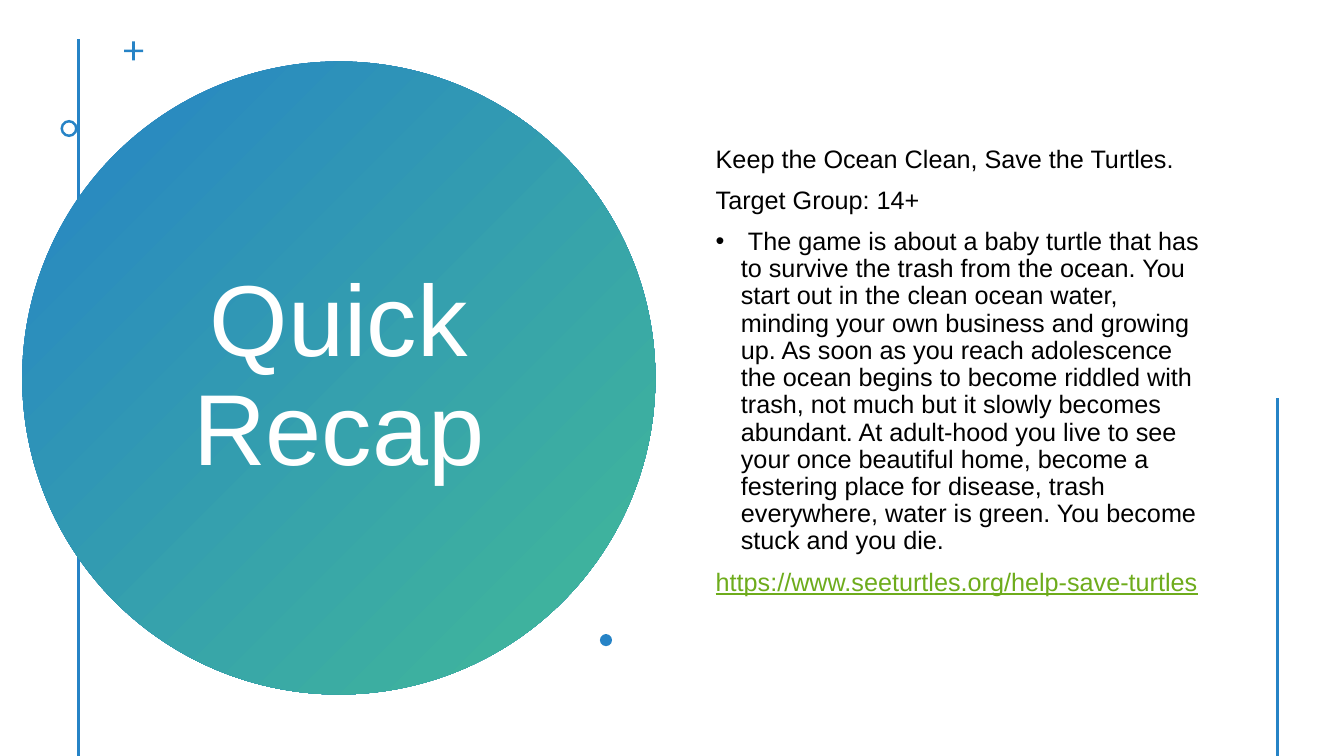
from lxml.etree import SubElement
from pptx import Presentation
from pptx.dml.color import RGBColor
from pptx.enum.shapes import MSO_CONNECTOR as Connector, MSO_SHAPE as Shape
from pptx.enum.text import MSO_ANCHOR as Anchor, MSO_AUTO_SIZE as AutoSize, PP_ALIGN as Align
from pptx.oxml.ns import qn
from pptx.util import Inches, Pt

BLUE = RGBColor(0x26, 0x83, 0xC6)
TEAL = RGBColor(0x42, 0xBA, 0x97)
GREEN = RGBColor(0x6E, 0xAC, 0x1C)
BLACK = RGBColor(0, 0, 0)
WHITE = RGBColor(0xFF, 0xFF, 0xFF)
FONT = "Arial"
SLOGAN = "Keep the Ocean Clean, Save the Turtles."
AUDIENCE = "Target Group: 14+"
STORY = (
    "\N{NO-BREAK SPACE}The game is about a baby turtle that has to survive the trash from the ocean. "
    "You start out in the clean ocean water, minding your own business and growing up. "
    "As soon as you reach adolescence the ocean begins to become riddled with trash, "
    "not much but it slowly becomes abundant. At adult-hood you live to see your once "
    "beautiful home, become a festering place for disease, trash everywhere, water is "
    "green. You become stuck and you die."
)
LINK = "https://www.seeturtles.org/help-save-turtles"


def add_vertical_line(slide, x, top, bottom):
    """Draw a blue vertical rule."""
    line = slide.shapes.add_connector(
        Connector.STRAIGHT, Inches(x), Inches(top), Inches(x), Inches(bottom))
    line.line.color.rgb = BLUE
    line.line.width = Pt(2)
    SubElement(line._element.spPr, qn("a:effectLst"))


def add_ornament(slide, kind, left, top, size, adjustment=None):
    """Add a small solid blue ornament in a square box."""
    shape = slide.shapes.add_shape(
        kind, Inches(left), Inches(top), Inches(size), Inches(size))
    shape.shadow.inherit = False
    shape.fill.solid()
    shape.fill.fore_color.rgb = BLUE
    shape.line.fill.background()
    if adjustment is not None:
        shape.adjustments[0] = adjustment


def set_up_frame(frame):
    """Give a text frame wrapping, middle anchoring and a fixed size."""
    frame.word_wrap = True
    frame.auto_size = AutoSize.NONE
    frame.vertical_anchor = Anchor.MIDDLE


def add_run(paragraph, text, size, color):
    """Append a formatted run to a paragraph."""
    run = paragraph.add_run()
    run.text = text
    run.font.name = FONT
    run.font.size = Pt(size)
    run.font.color.rgb = color
    return run


def add_title_circle(slide, left, top, diameter):
    """Draw the gradient circle with the title centred on it."""
    circle = slide.shapes.add_shape(
        Shape.OVAL, Inches(left), Inches(top), Inches(diameter), Inches(diameter))
    circle.shadow.inherit = False
    circle.line.fill.background()
    circle.fill.gradient()
    circle.fill.gradient_angle = 315
    for stop, color in zip(circle.fill.gradient_stops, (BLUE, TEAL)):
        stop.color.rgb = color

    title = slide.shapes.title
    width, height = 3.99, 4.67
    title.left = Inches(left + (diameter - width) / 2)
    title.top = Inches(top + (diameter - height) / 2)
    title.width, title.height = Inches(width), Inches(height)
    set_up_frame(title.text_frame)
    paragraph = title.text_frame.paragraphs[0]
    paragraph.alignment = Align.CENTER
    paragraph.line_spacing = 0.9
    add_run(paragraph, "Quick Recap", 72, WHITE)
    circle._element.addnext(title._element)


def add_bullet(paragraph):
    """Give a paragraph a round bullet with a hanging indent."""
    properties = paragraph._p.get_or_add_pPr()
    properties.set("marL", str(Inches(0.25)))
    properties.set("indent", str(-Inches(0.25)))
    SubElement(properties, qn("a:buFont")).set("typeface", FONT)
    SubElement(properties, qn("a:buChar")).set("char", "•")


def add_summary(slide, left, top, width, height):
    """Add the slogan, audience, story and link in one text box."""
    box = slide.shapes.add_textbox(
        Inches(left), Inches(top), Inches(width), Inches(height))
    frame = box.text_frame
    set_up_frame(frame)
    for index, text in enumerate((SLOGAN, AUDIENCE, STORY, LINK)):
        paragraph = frame.add_paragraph() if index else frame.paragraphs[0]
        paragraph.line_spacing = 0.9
        if index:
            paragraph.space_before = Pt(10)
        if text == STORY:
            add_bullet(paragraph)
        run = add_run(paragraph, text, 18, GREEN if text == LINK else BLACK)
        if text == LINK:
            run.font.underline = True


def main():
    """Build and save the recap slide."""
    presentation = Presentation()
    presentation.slide_width = Inches(13.33)
    presentation.slide_height = Inches(7.5)
    slide = presentation.slides.add_slide(presentation.slide_layouts[5])
    add_vertical_line(slide, 0.78, 0.39, 7.5)
    add_title_circle(slide, 0.22, 0.61, 6.28)
    add_ornament(slide, Shape.CROSS, 1.23, 0.41, 0.19, 0.43)
    add_ornament(slide, Shape.DONUT, 0.6, 1.19, 0.17, 0.15)
    add_summary(slide, 7, 0.42, 5.12, 6.53)
    add_ornament(slide, Shape.OVAL, 5.95, 6.29, 0.12)
    add_vertical_line(slide, 12.67, 3.95, 7.5)
    presentation.save("out.pptx")


if __name__ == "__main__":
    main()
